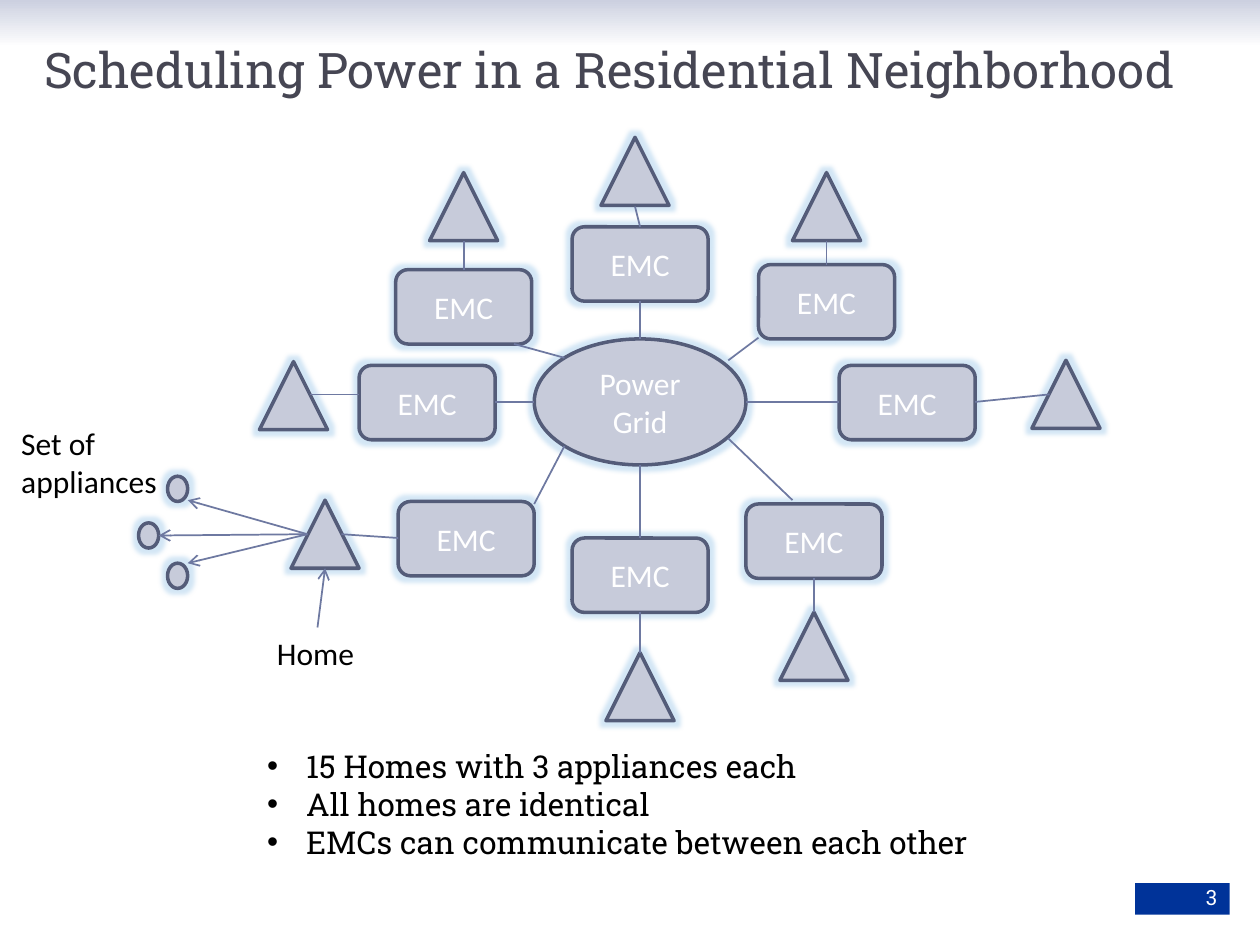
from lxml import etree
from pptx import Presentation
from pptx.dml.color import RGBColor
from pptx.enum import shapes, text
from pptx.oxml import ns
from pptx.util import Inches, Pt

COLORS = {"sky": "CCD0E0", "white": "FFFFFF", "title": "464653", "badge": "003399",
          "fill": "C7CBDA", "edge": "545C79", "link": "6E79A1", "black": "000000",
          "glow": "9FC9EA"}
SANS, SLAB = "Calibri", "Roboto Slab"

TITLE = "Scheduling Power in a Residential Neighborhood"
FACTS = ["15 Homes with 3 appliances each", "All homes are identical",
         "EMCs can communicate between each other"]
GRID = (4.24, 2.69, 1.68, 1)
EMC_SIZE, HOME_SIZE, APPLIANCE_SIZE = (1.08, 0.59), (0.54, 0.54), (0.16, 0.2)

# EMC corner, home corner, link from grid to EMC, link from EMC to home
BRANCHES = [
    ((4.54, 1.8), (4.77, 1.09), (5.08, 2.69, 5.08, 2.39), (5.08, 1.8, 5.04, 1.64)),
    ((6.02, 2.1), (6.29, 1.37), (5.78, 2.86, 6.02, 2.68), (6.56, 2.1, 6.56, 1.91)),
    ((6.66, 2.9), (8.19, 2.86), (5.92, 3.19, 6.66, 3.19), (7.74, 3.19, 8.33, 3.13)),
    ((5.92, 4), (6.19, 4.86), (5.78, 3.48, 6.29, 3.97), (6.46, 4.59, 6.46, 4.86)),
    ((4.54, 4.27), (4.81, 5.18), (5.08, 3.69, 5.08, 4.27), (5.08, 4.86, 5.08, 5.18)),
    ((3.16, 3.98), (2.31, 3.97), (4.48, 3.54, 4.24, 4), (3.16, 4.27, 2.71, 4.24)),
    ((2.85, 2.9), (2.06, 2.87), (4.24, 3.19, 3.93, 3.19), (2.85, 3.13, 2.46, 3.13)),
    ((3.14, 2.14), (3.41, 1.37), (4.48, 2.84, 4.08, 2.73), (3.68, 2.14, 3.68, 1.91)),
]
# Appliance corner and the point its arrow reaches
APPLIANCES = [((1.33, 3.78), (1.49, 3.97)), ((1.1, 4.15), (1.26, 4.25)),
              ((1.33, 4.47), (1.49, 4.47))]
HOME_PORT = (2.44, 4.24)
LABELS = [("Home", (2.1, 4.98, 0.84, 0.4)),
          ("Set of appliances", (0.07, 3.32, 1.85, 0.7))]


def color(name):
    return RGBColor.from_string(COLORS[name])


def add_xml(parent, tag, **attributes):
    return etree.SubElement(parent, ns.qn(tag), attributes)


def place(shape, box):
    for side, value in zip(("left", "top", "width", "height"), box):
        setattr(shape, side, Inches(value))


def write(shape, lines, font, size, tint, align=text.PP_ALIGN.LEFT, **frame_format):
    frame = shape.text_frame
    frame.text = "\n".join(lines)
    defaults = {"word_wrap": True, "auto_size": text.MSO_AUTO_SIZE.NONE,
                "vertical_anchor": text.MSO_ANCHOR.TOP}
    for name, value in (defaults | frame_format).items():
        setattr(frame, name, value)
    for para in frame.paragraphs:
        para.alignment = align
        para.space_before = Pt(0)
        for span in para.runs:
            span.font.name, span.font.size = font, Pt(size)
            span.font.color.rgb = color(tint)


def add_node(page, kind, box, label=None):
    """Add a glowing outlined shape, with a centred label if one is given."""
    node = page.shapes.add_shape(kind, *map(Inches, box))
    node.fill.solid()
    node.fill.fore_color.rgb = color("fill")
    node.line.color.rgb = color("edge")
    node.line.width = Pt(2)
    node.shadow.inherit = False
    effects = node._element.spPr.find(ns.qn("a:effectLst"))
    glow = add_xml(effects, "a:glow", rad="63500")
    tint = add_xml(glow, "a:srgbClr", val=COLORS["glow"])
    add_xml(tint, "a:alpha", val="45000")
    if label:
        write(node, [label], SANS, 18, "white", text.PP_ALIGN.CENTER,
              vertical_anchor=text.MSO_ANCHOR.MIDDLE)


def add_link(page, ends, arrow=False):
    link = page.shapes.add_connector(shapes.MSO_CONNECTOR.STRAIGHT, *map(Inches, ends))
    link.line.color.rgb = color("link")
    link.line.width = Pt(1)
    if arrow:
        add_xml(link.line._get_or_add_ln(), "a:tailEnd", type="arrow")
    add_xml(link._element.spPr, "a:effectLst")


def add_background(page):
    fill = page.background.fill
    fill.gradient()
    fill.gradient_angle = 270
    for stop, name, position in zip(fill.gradient_stops, ("sky", "white"), (0, 0.05)):
        stop.color.rgb = color(name)
        stop.position = position


def add_diagram(page):
    kinds = shapes.MSO_SHAPE
    add_node(page, kinds.OVAL, GRID, "Power Grid")
    for emc, home, grid_link, home_link in BRANCHES:
        add_node(page, kinds.ROUNDED_RECTANGLE, emc + EMC_SIZE, "EMC")
        add_node(page, kinds.ISOSCELES_TRIANGLE, home + HOME_SIZE)
        add_link(page, grid_link)
        add_link(page, home_link)
    for corner, tip in APPLIANCES:
        add_node(page, kinds.OVAL, corner + APPLIANCE_SIZE)
        add_link(page, HOME_PORT + tip, arrow=True)
    add_link(page, (2.52, 4.98, 2.58, 4.51), arrow=True)
    for label, box in LABELS:
        write(page.shapes.add_textbox(*map(Inches, box)), [label], SANS, 18, "black")


def add_facts(page):
    body = page.placeholders[1]
    place(body, (2.02, 5.88, 6.37, 1.01))
    write(body, FACTS, SLAB, 18, "black")
    for para in body.text_frame.paragraphs:
        layout = para._p.get_or_add_pPr()
        layout.set("marL", str(Inches(0.31)))
        layout.set("indent", str(-Inches(0.31)))
        add_xml(layout, "a:buFont", typeface="Arial")
        add_xml(layout, "a:buChar", char="•")


def add_page_number(page):
    badge = page.shapes.add_shape(shapes.MSO_SHAPE.RECTANGLE,
                                  *map(Inches, (9.01, 7.01, 0.75, 0.25)))
    badge.fill.solid()
    badge.fill.fore_color.rgb = color("badge")
    badge.line.fill.background()
    badge.shadow.inherit = False
    write(badge, ["3"], SLAB, 12, "white", text.PP_ALIGN.RIGHT,
          margin_top=Inches(0.01), margin_bottom=0)


def main():
    deck = Presentation()
    deck.slide_width, deck.slide_height = Inches(10), Inches(7.5)
    page = deck.slides.add_slide(deck.slide_layouts[1])
    add_background(page)
    place(page.shapes.title, (0.25, 0.08, 9.5, 0.75))
    write(page.shapes.title, [TITLE], SLAB, 28, "title",
          vertical_anchor=text.MSO_ANCHOR.BOTTOM)
    add_diagram(page)
    add_facts(page)
    add_page_number(page)
    deck.save("out.pptx")


if __name__ == "__main__":
    main()
